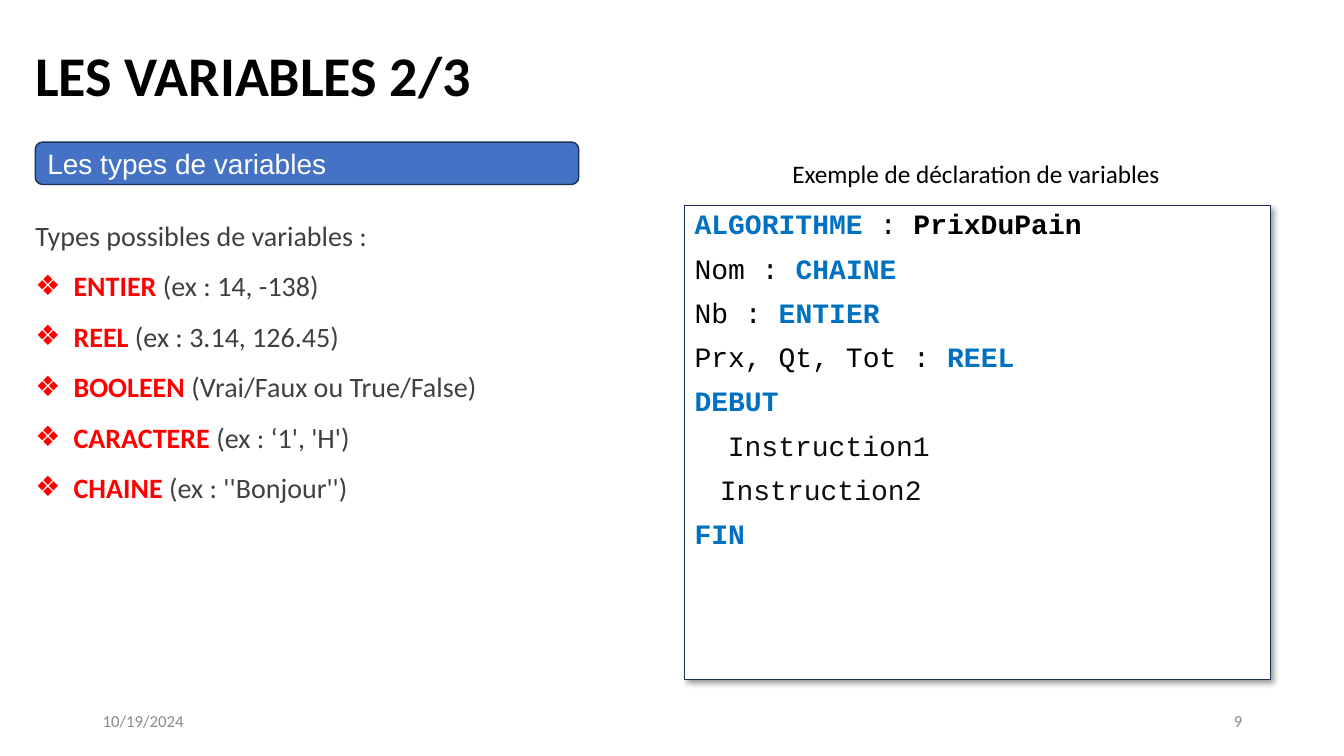
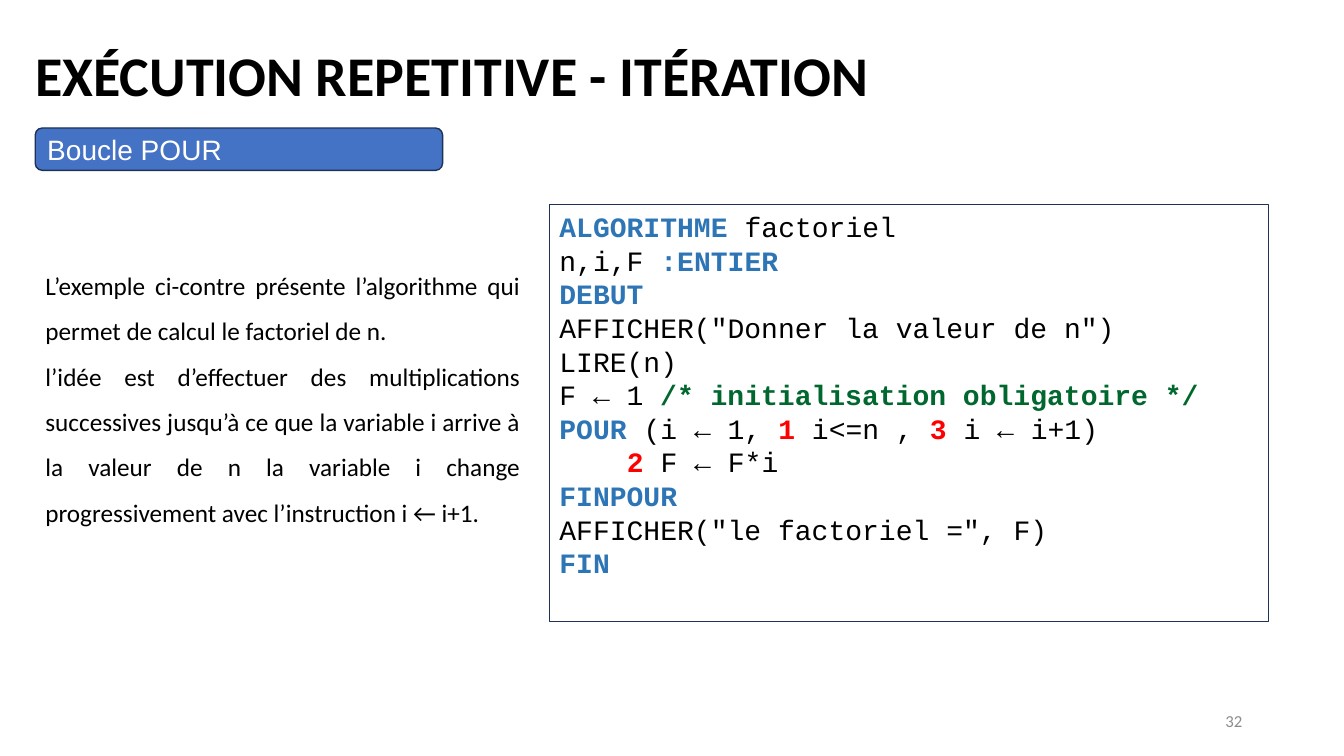
from lxml import etree
from pptx import Presentation
from pptx.dml.color import RGBColor
from pptx.enum.shapes import MSO_SHAPE
from pptx.enum.text import MSO_ANCHOR, MSO_AUTO_SIZE, PP_ALIGN
from pptx.oxml import parse_xml
from pptx.oxml.ns import nsdecls, qn
from pptx.util import Inches, Pt

BLACK = RGBColor(0x00, 0x00, 0x00)
WHITE = RGBColor(0xFF, 0xFF, 0xFF)
BAND = RGBColor(0x44, 0x72, 0xC4)
OUTLINE = RGBColor(0x1E, 0x32, 0x56)
GREY = RGBColor(0x8C, 0x8C, 0x8C)
DARK = RGBColor(0x40, 0x40, 0x40)
INK = RGBColor(0x0D, 0x0D, 0x0D)
RED = RGBColor(0xFF, 0x00, 0x00)
BLUE = RGBColor(0x00, 0x70, 0xC0)
STEEL = RGBColor(0x2E, 0x75, 0xB6)
GREEN = RGBColor(0x00, 0x68, 0x2F)


def write(shape, box, lines, size, font="Calibri", anchor=MSO_ANCHOR.TOP, wrap=True,
          indents=None, bullets=(), **paragraph_format):
    shape.left, shape.top, shape.width, shape.height = [Inches(value) for value in box]
    frame = shape.text_frame
    for name, value in {"word_wrap": wrap, "auto_size": MSO_AUTO_SIZE.NONE,
                        "vertical_anchor": anchor}.items():
        setattr(frame, name, value)
    layout_values = {"alignment": PP_ALIGN.LEFT, "space_before": Pt(0), **paragraph_format}
    for index, runs in enumerate(lines):
        paragraph = frame.paragraphs[0] if index == 0 else frame.add_paragraph()
        for name, value in layout_values.items():
            setattr(paragraph, name, value)
        properties = paragraph._p.get_or_add_pPr()
        margin = 0.38 if index in bullets else (indents or {}).get(index, 0)
        properties.set("marL", str(Inches(margin)))
        properties.set("indent", str(Inches(-0.38 if index in bullets else 0)))
        if index in bullets:
            etree.SubElement(properties, qn("a:buChar")).set("char", "❖")
        else:
            etree.SubElement(properties, qn("a:buNone"))
        if any("\t" in text for text, color, bold in runs):
            tab = etree.SubElement(etree.SubElement(properties, qn("a:tabLst")), qn("a:tab"))
            tab.set("pos", str(Inches(1.5)))
            tab.set("algn", "l")
        for text, color, bold in runs:
            run = paragraph.add_run()
            run.text = text
            for name, value in {"name": font, "size": Pt(size), "bold": bold}.items():
                setattr(run.font, name, value)
            run.font.color.rgb = color


def add_panel(slide, kind, fill, line_width):
    shape = slide.shapes.add_shape(kind, 0, 0, 0, 0)
    shape.shadow.inherit = False
    shape.fill.solid()
    shape.fill.fore_color.rgb = fill
    shape.line.color.rgb = OUTLINE
    shape.line.width = Pt(line_width)
    return shape


presentation = Presentation()
presentation.slide_width = Inches(13.33)
presentation.slide_height = Inches(7.5)

variable_types = [
    ("ENTIER", " (ex : 14, -138)"),
    ("REEL", " (ex : 3.14, 126.45)"),
    ("BOOLEEN", " (Vrai/Faux ou True/False)"),
    ("CARACTERE", " (ex : ‘1', 'H')"),
    ("CHAINE", " (ex : ''Bonjour'')"),
]
type_lines = [[("Types possibles de variables :", DARK, False)]]
type_lines += [[(name, RED, True), (example, DARK, False)] for name, example in variable_types]

declaration_lines = [
    [("ALGORITHME ", BLUE, True), (": ", BLACK, False), ("PrixDuPain", BLACK, True)],
    [("Nom : ", BLACK, False), ("CHAINE", BLUE, True)],
    [("Nb : ", BLACK, False), ("ENTIER", BLUE, True)],
    [("Prx, Qt, Tot : ", BLACK, False), ("REEL", BLUE, True)],
    [("DEBUT", BLUE, True)],
    [("Instruction1", INK, False)],
    [("Instruction2", INK, False)],
    [("FIN", BLUE, True)],
]

explanation_lines = [[(text, BLACK, False)] for text in (
    "L’exemple ci-contre présente l’algorithme qui permet de calcul le factoriel de n.",
    "l’idée est d’effectuer des multiplications successives jusqu’à ce que la variable i "
    "arrive à la valeur de n la variable i change progressivement avec l’instruction i ← i+1.",
)]

factorial_lines = [
    [("ALGORITHME ", STEEL, True), ("factoriel", BLACK, False)],
    [("n,i,F ", BLACK, False), (":ENTIER", STEEL, True)],
    [("DEBUT", STEEL, True)],
    [('AFFICHER("Donner la valeur de n")', BLACK, False)],
    [("LIRE(n)", BLACK, False)],
    [("F ← 1\t", BLACK, False), ("/* initialisation obligatoire */", GREEN, True)],
    [("POUR", STEEL, True), (" (i ← 1, ", BLACK, False), ("1", RED, True),
     (" i<=n , ", BLACK, False), ("3 ", RED, True), ("i ← i+1)", BLACK, False)],
    [("2 ", RED, True), ("F ← F*i", BLACK, False)],
    [("FINPOUR", STEEL, True)],
    [('AFFICHER("le factoriel =", F)', BLACK, False)],
    [("FIN", STEEL, True)],
]

pages = [
    {
        "title": "LES VARIABLES 2/3", "number": "9",
        "band": ("Les types de variables", (0.35, 1.41, 5.39, 0.42)),
        "body": {"box": (0.25, 2, 5.27, 3), "lines": type_lines, "size": 20,
                 "anchor": MSO_ANCHOR.MIDDLE, "bullets": range(1, 6)},
        "code": {"box": (6.79, 2.04, 5.81, 4.7), "lines": declaration_lines,
                 "indents": {5: 0.33, 6: 0.25}, "line_spacing": 0.9, "space_before": Pt(10)},
    },
    {
        "title": "EXÉCUTION REPETITIVE - ITÉRATION", "number": "32",
        "band": ("Boucle POUR", (0.35, 1.27, 4.04, 0.42)),
        "body": {"box": (0.35, 2.48, 4.91, 3.23), "lines": explanation_lines, "size": 18},
        "code": {"box": (5.45, 2.03, 7.13, 4.14), "lines": factorial_lines,
                 "indents": {7: 0.67}},
    },
]

code_panels = []
for page in pages:
    slide = presentation.slides.add_slide(presentation.slide_layouts[1])
    write(slide.shapes.title, (0.25, 0.35, 11.5, 0.77), [[(page["title"], BLACK, True)]], 40)
    band_text, band_box = page["band"]
    band = add_panel(slide, MSO_SHAPE.ROUNDED_RECTANGLE, BAND, 1)
    write(band, band_box, [[(band_text, WHITE, False)]], 20, "Arial", MSO_ANCHOR.MIDDLE)
    write(slide.placeholders[1], alignment=PP_ALIGN.JUSTIFY, line_spacing=1.5, **page["body"])
    code_panel = add_panel(slide, MSO_SHAPE.RECTANGLE, WHITE, 0.75)
    write(code_panel, size=20, font="Courier New", **page["code"])
    code_panels.append(code_panel)
    number = slide.shapes.add_textbox(0, 0, 0, 0)
    write(number, (9.42, 6.95, 3, 0.4), [[(page["number"], GREY, False)]], 12,
          anchor=MSO_ANCHOR.MIDDLE, alignment=PP_ALIGN.RIGHT)

effects = code_panels[0]._element.spPr.find(qn("a:effectLst"))
effects.append(parse_xml(
    f'<a:outerShdw {nsdecls("a")} blurRad="{Pt(4)}" dist="{Pt(3)}" dir="2700000" algn="tl" '
    'rotWithShape="0"><a:srgbClr val="000000"><a:alpha val="40000"/></a:srgbClr></a:outerShdw>'))

variables_slide = presentation.slides[0]
caption = variables_slide.shapes.add_textbox(0, 0, 0, 0)
write(caption, (7.76, 1.52, 3.89, 0.4),
      [[("Exemple de déclaration de variables", BLACK, False)]], 18, wrap=False)
date = variables_slide.shapes.add_textbox(0, 0, 0, 0)
write(date, (0.92, 6.95, 3, 0.4), [[("10/19/2024", GREY, False)]], 12, anchor=MSO_ANCHOR.MIDDLE)

presentation.save("out.pptx")
